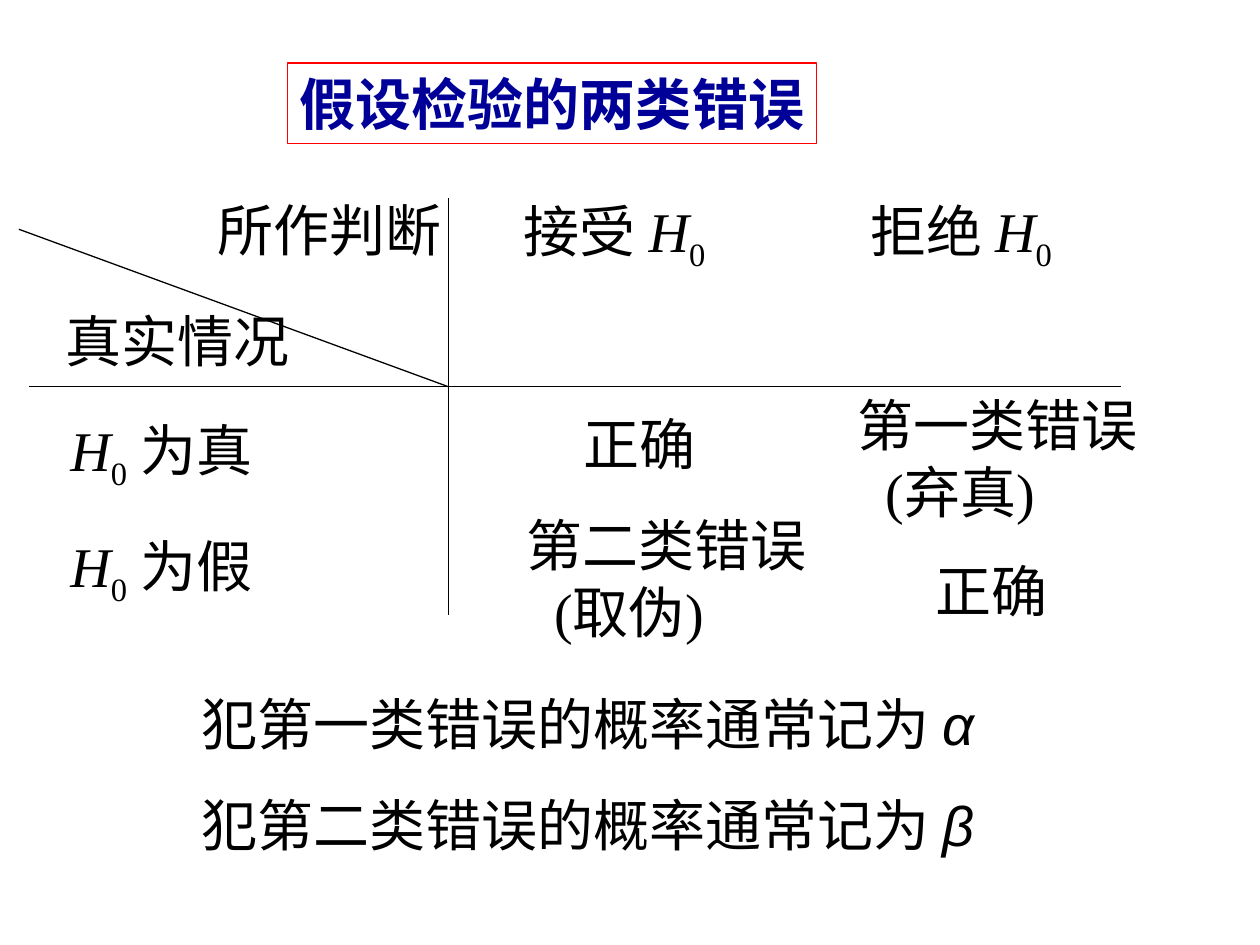
from lxml import etree
from pptx import Presentation
from pptx.dml.color import RGBColor
from pptx.enum.shapes import MSO_CONNECTOR
from pptx.enum.text import MSO_ANCHOR, MSO_AUTO_SIZE, PP_ALIGN
from pptx.oxml.ns import qn
from pptx.util import Inches, Pt

STRAIGHT = MSO_CONNECTOR.STRAIGHT
TOP, LEFT = MSO_ANCHOR.TOP, PP_ALIGN.LEFT
FIXED = MSO_AUTO_SIZE.NONE
BLACK, BLUE, RED = "000000", "000099", "FF0000"
SERIF, SANS = "Times New Roman", "Arial"

# Runs are (text, style)
H = ("H", "italic")
TITLE = ("假设检验的两类错误", "title")
TITLE_BOX = (2.28, 0.5, 4.2, 0.64)

# (left, top, width, height), paragraphs, indent and space before later paragraphs
TEXTS = [
    ((1.63, 1.5, 1.98, 0.64), [[("所作判断", "plain")]], 0, 0),
    ((0.42, 2.38, 1.98, 0.64), [[("真实情况", "plain")]], 0, 0),
    ((4.06, 1.51, 1.87, 0.71), [[("接受 ", "plain"), H, ("0", "sub")]], 0, 0),
    ((6.81, 1.51, 1.87, 0.71), [[("拒绝 ", "plain"), H, ("0", "sub")]], 0, 0),
    ((0.46, 3.25, 1.76, 0.71), [[H, ("0", "sub"), (" 为真", "plain")]], 0, 0),
    ((0.46, 4.17, 1.76, 0.71), [[H, ("0", "sub"), (" 为假", "plain")]], 0, 0),
    ((4.53, 3.2, 1.09, 0.64), [[("正确", "plain")]], 0, 0),
    ((7.33, 4.37, 1.09, 0.64), [[("正确", "plain")]], 0, 0),
    ((6.71, 3.05, 2.42, 1.17),
     [[("第一类错误", "plain")], [("(弃真)", "plain")]], 0.22, 0),
    ((4.08, 4, 2.42, 1.17),
     [[("第二类错误", "plain")], [("(取伪)", "plain")]], 0.22, 0),
    ((1.5, 5.42, 6.49, 1.44),
     [[("犯第一类错误的概率通常记为 ", "plain"), ("α", "greek")],
      [("犯第二类错误的概率通常记为 ", "plain"), ("β", "greek")]], 0, 19.5),
]

CROSS_X, CROSS_Y = 3.56, 3.07
LINES = [
    (CROSS_X, CROSS_Y, 0.15, 1.82),
    (CROSS_X, 1.57, CROSS_X, 4.88),
    (0.23, CROSS_Y, 8.9, CROSS_Y),
]


def rgb(color):
    return RGBColor.from_string(color)


def place(sp, box):
    sp.left, sp.top, sp.width, sp.height = map(Inches, box)


def add_run(p, text, style):
    r = p.add_run()
    r.text = text
    font = r.font
    font.name = SANS if style == "greek" else SERIF
    font.size = Pt(32)
    font.bold = style == "title"
    font.italic = style in ("italic", "greek")
    font.color.rgb = rgb(BLUE if style == "title" else BLACK)
    if style == "sub":
        r._r.get_or_add_rPr().set("baseline", "-25000")


def fill_text(sp, paragraphs, indent=0, gap=0):
    tf = sp.text_frame
    tf.word_wrap = True
    tf.auto_size = FIXED
    tf.vertical_anchor = TOP
    tf.margin_right = 0  # spare room, so that no line breaks
    for i, runs in enumerate(paragraphs):
        p = tf.add_paragraph() if i else tf.paragraphs[0]
        p.alignment = LEFT
        if i and indent:
            p._p.get_or_add_pPr().set("marL", str(Inches(indent)))
        if i and gap:
            p.space_before = Pt(gap)
        for text, style in runs:
            add_run(p, text, style)


prs = Presentation()
prs.slide_width, prs.slide_height = Inches(10), Inches(7.5)
s = prs.slides.add_slide(prs.slide_layouts[5])

title = s.shapes.title
place(title, TITLE_BOX)
title.line.color.rgb = rgb(RED)
title.line.width = Pt(0.75)
fill_text(title, [[TITLE]])

for ends in LINES:
    line = s.shapes.add_connector(STRAIGHT, *map(Inches, ends))
    line.line.color.rgb = rgb(BLACK)
    line.line.width = Pt(0.75)
    etree.SubElement(line._element.spPr, qn("a:effectLst"))

for box, paragraphs, indent, gap in TEXTS:
    sp = s.shapes.add_textbox(*map(Inches, box))
    fill_text(sp, paragraphs, indent, gap)

prs.save("out.pptx")
